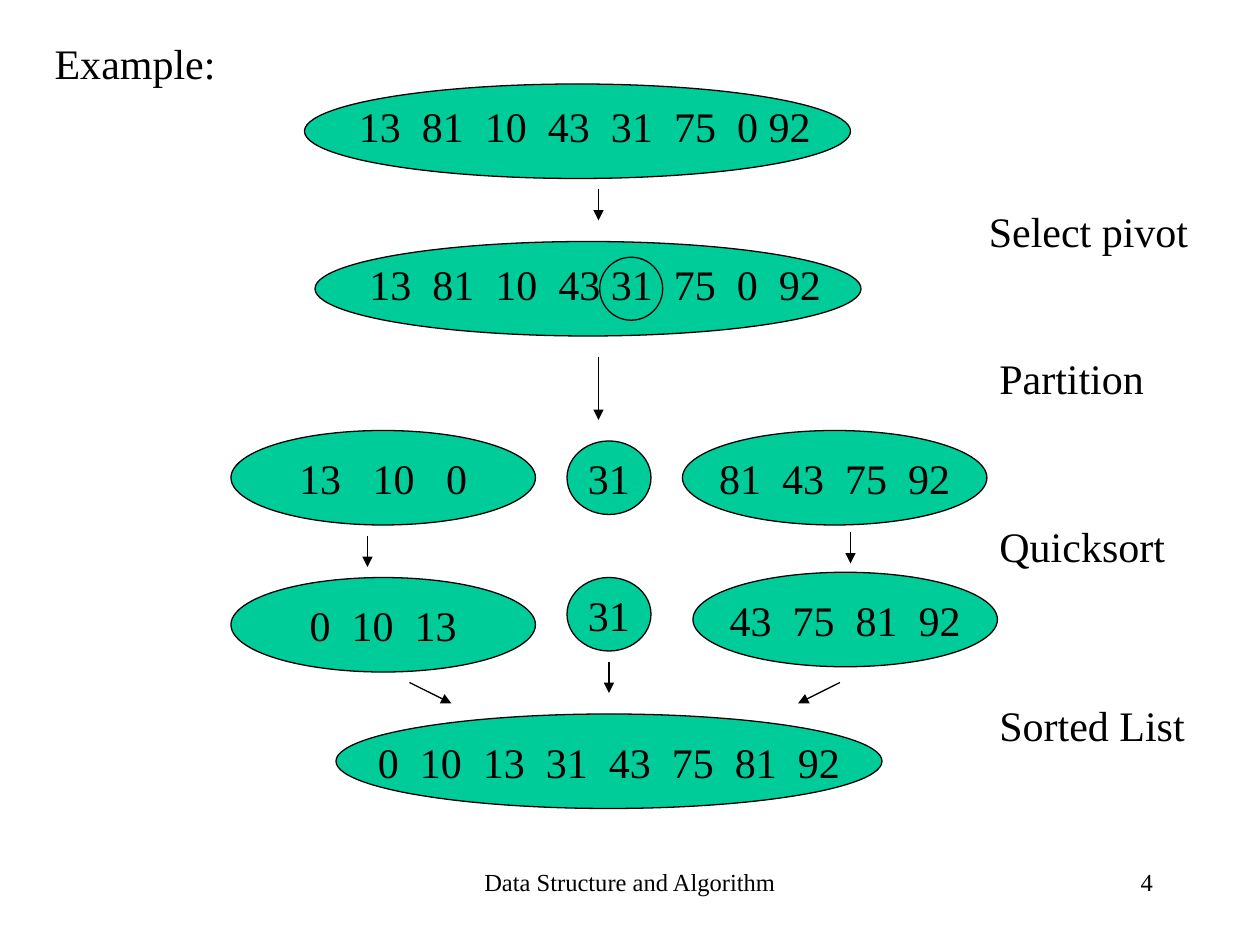
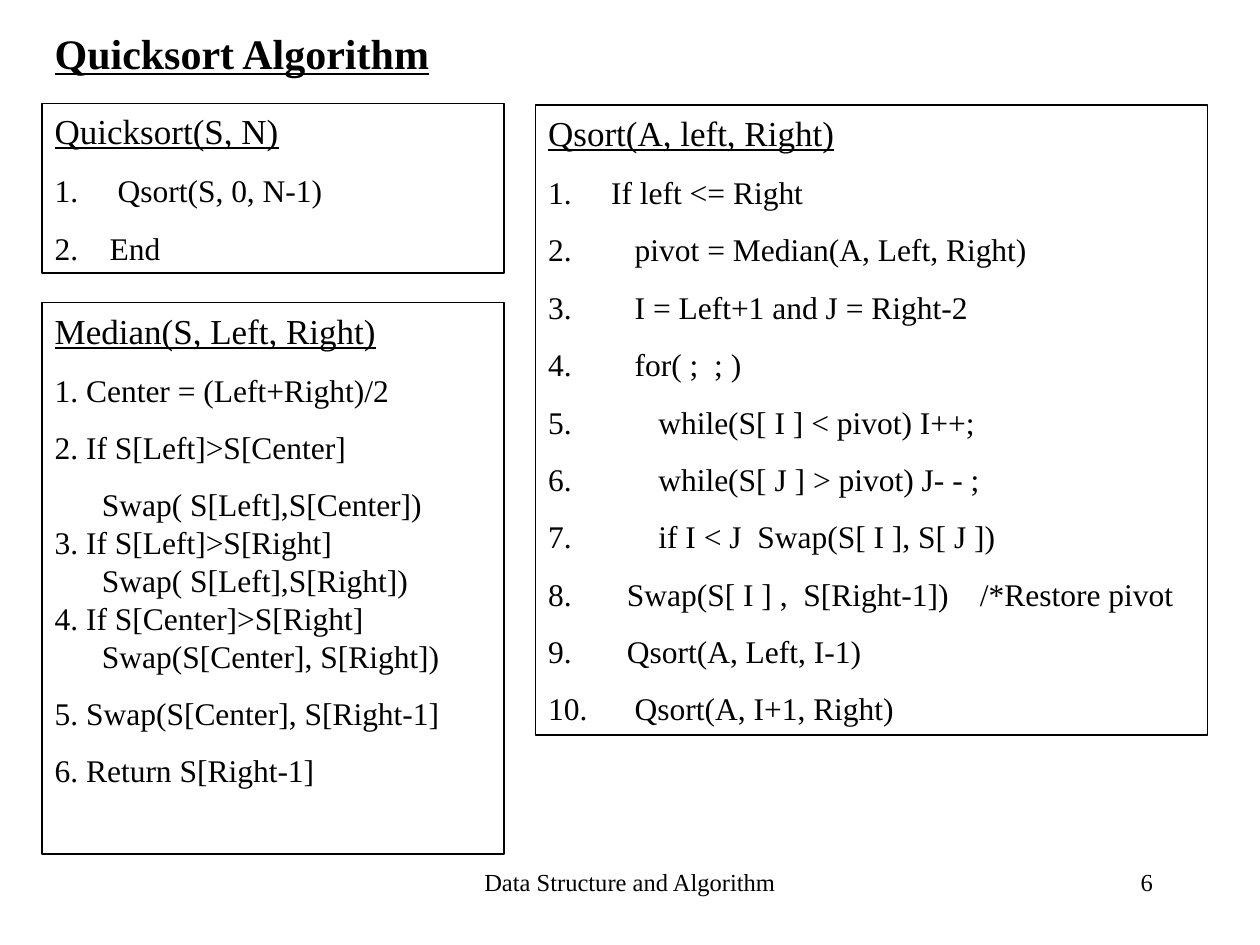
from lxml.etree import SubElement
from pptx import Presentation
from pptx.dml.color import RGBColor
from pptx.enum.shapes import MSO_CONNECTOR, MSO_SHAPE
from pptx.enum.text import MSO_ANCHOR, MSO_AUTO_SIZE, PP_ALIGN
from pptx.oxml.ns import qn
from pptx.util import Pt

# Shared look
HUES = {"ink": "000000", "oval": "00CC99"}
FONT = "Times New Roman"
THIN = 0.75
FOOT = "Data Structure and Algorithm"
ROW_H = 54
WIDE, HALF = 312, 174
BALL = (48, 42)

# Slide 1: ovals as (left, top, width, height, text)
OVALS = [
    (174, 48, WIDE, ROW_H, ""),
    (180, 138, WIDE, ROW_H, ""),
    (132, 246, HALF, ROW_H, "13   10   0"),
    (390, 246, HALF, ROW_H, "81  43  75  92"),
    (324, 252, *BALL, "31"),
    (132, 330, HALF, ROW_H, "0  10  13"),
    (396, 327, HALF, ROW_H, "43  75  81  92"),
    (192, 408, WIDE, ROW_H, "0  10  13  31  43  75  81  92"),
    (324, 330, *BALL, "31"),
    (342.7, 147, 36, 36, ""),
]
# Labels as (left, top, width, text)
LABELS = [
    (198, 54, 300, "13  81  10  43  31  75  0 92"),
    (204, 144, 288, "13  81  10  43 31  75  0  92"),
    (558, 114, 150, "Select pivot"),
    (564, 198, 150, "Partition"),
    (564, 294, 150, "Quicksort"),
    (564, 396, 150, "Sorted List"),
]
# Arrows as (from x, from y, to x, to y)
ARROWS = [
    (342, 108, 342, 126),
    (342, 204, 342, 240),
    (210, 306, 210, 324),
    (486, 304, 486, 322),
    (234, 390, 258, 402),
    (480, 390, 456, 402),
    (348, 378, 348, 396),
]

# Slide 2: steps as (number or None, indent, text, has space before)
QUICK = [(1, 36, "Qsort(S, 0, N-1)", True), (2, 31.5, "End", True)]
CODE = [
    (36, "If left <= Right"),
    (49.5, "pivot = Median(A, Left, Right)"),
    (49.5, "I = Left+1 and J = Right-2"),
    (49.5, "for( ;  ; )"),
    (63, "while(S[ I ] < pivot) I++;"),
    (63, "while(S[ J ] > pivot) J- - ;"),
    (63, "if I < J  Swap(S[ I ], S[ J ])"),
    (45, "Swap(S[ I ] ,  S[Right-1])    /*Restore pivot"),
    (45, "Qsort(A, Left, I-1)"),
    (49.5, "Qsort(A, I+1, Right)"),
]
QSORT = [(n, dent, text, True) for n, (dent, text) in enumerate(CODE, 1)]
MEDIAN = [
    (1, 18, "Center = (Left+Right)/2", True),
    (2, 18, "If S[Left]>S[Center]", True),
    (None, 27, "Swap( S[Left],S[Center])", True),
    (3, 18, "If S[Left]>S[Right]", False),
    (None, 27, "Swap( S[Left],S[Right])", False),
    (4, 18, "If S[Center]>S[Right]", False),
    (None, 27, "Swap(S[Center], S[Right])", False),
    (5, 18, "Swap(S[Center], S[Right-1]", True),
    (6, 18, "Return S[Right-1]", True),
]
# Boxes as (placeholder index, left, top, width, height, heading, steps)
BOXES = [
    (1, 24, 59, 264, 97, "Quicksort(S, N)", QUICK),
    (2, 306, 60, 384, 360, "Qsort(A, left, Right)", QSORT),
    (3, 24, 173, 264, 315, "Median(S, Left, Right)", MEDIAN),
]


def hue(name):
    return RGBColor.from_string(HUES[name])


def style(para, size, bold=False, under=False, align=PP_ALIGN.LEFT):
    para.alignment = align
    for run in para.runs:
        font = run.font
        font.name, font.size = FONT, Pt(size)
        font.bold, font.underline = bold, under
        font.color.rgb = hue("ink")


def place(shape, x, y, w, h):
    shape.left, shape.top = Pt(x), Pt(y)
    shape.width, shape.height = Pt(w), Pt(h)


def frame(shape, anchor=MSO_ANCHOR.TOP, wrap=True):
    body = shape.text_frame
    body.auto_size = MSO_AUTO_SIZE.NONE
    body.vertical_anchor, body.word_wrap = anchor, wrap
    return body


def edge(line):
    line.color.rgb, line.width = hue("ink"), Pt(THIN)


def label(slide, x, y, w, text, size=24, align=PP_ALIGN.LEFT):
    body = frame(slide.shapes.add_textbox(Pt(x), Pt(y), Pt(w), Pt(36)))
    body.text = text
    style(body.paragraphs[0], size, align=align)


def oval(slide, x, y, w, h, text):
    shape = slide.shapes.add_shape(MSO_SHAPE.OVAL, Pt(x), Pt(y), Pt(w), Pt(h))
    shape.shadow.inherit = False
    shape.fill.solid()
    shape.fill.fore_color.rgb = hue("oval")
    edge(shape.line)
    if text:
        body = frame(shape, MSO_ANCHOR.MIDDLE, False)
        body.text = text
        style(body.paragraphs[0], 24, align=PP_ALIGN.CENTER)


def arrow(slide, *ends):
    link = slide.shapes.add_connector(MSO_CONNECTOR.STRAIGHT, *map(Pt, ends))
    edge(link.line)
    SubElement(link.line._get_or_add_ln(), qn("a:tailEnd"), type="triangle")
    SubElement(link._element.spPr, qn("a:effectLst"))


def hang(para, dent=0, num=None):
    """Indent a paragraph, with its number (if any) at the left edge."""
    props = para._p.get_or_add_pPr()
    props.set("marL", str(Pt(dent)))
    props.set("indent", str(-Pt(dent) if num else 0))
    if num:
        SubElement(props, qn("a:buFont"), typeface=FONT)
        SubElement(props, qn("a:buAutoNum"), type="arabicPeriod", startAt=str(num))
    else:
        SubElement(props, qn("a:buNone"))


def box(shape, x, y, w, h, head, steps):
    place(shape, x, y, w, h)
    edge(shape.line)
    body = frame(shape)
    body.text = head
    first = body.paragraphs[0]
    first.space_before = Pt(0)
    style(first, 20, under=True)
    hang(first)
    for num, dent, text, gap in steps:
        para = body.add_paragraph()
        para.text = text
        para.space_before = Pt(11.2 if gap else 0)
        style(para, 18)
        hang(para, dent, num)


def page(deck, layout, title, spot, number, strong=False):
    """Add a slide with the shared title style and footer."""
    slide = deck.slides.add_slide(deck.slide_layouts[layout])
    head = slide.shapes.title
    place(head, *spot)
    body = frame(head)
    body.text = title
    style(body.paragraphs[0], 24, strong, strong)
    label(slide, 246, 492, 228, FOOT, 14, PP_ALIGN.CENTER)
    label(slide, 516, 492, 150, str(number), 14, PP_ALIGN.RIGHT)
    return slide


def main():
    deck = Presentation()
    deck.slide_width, deck.slide_height = Pt(720), Pt(540)

    # Worked example
    slide = page(deck, 5, "Example:", (24, 18, 138, 36), 4)
    for item in OVALS:
        oval(slide, *item)
    for item in LABELS:
        label(slide, *item)
    for item in ARROWS:
        arrow(slide, *item)

    # Pseudocode
    slide = page(deck, 4, "Quicksort Algorithm", (24, 12, 342, 36), 6, True)
    holds = {p.placeholder_format.idx: p for p in slide.placeholders}
    for idx, *item in BOXES:
        box(holds[idx], *item)
    spare = holds[4]._element
    spare.getparent().remove(spare)

    deck.save("out.pptx")


if __name__ == "__main__":
    main()
